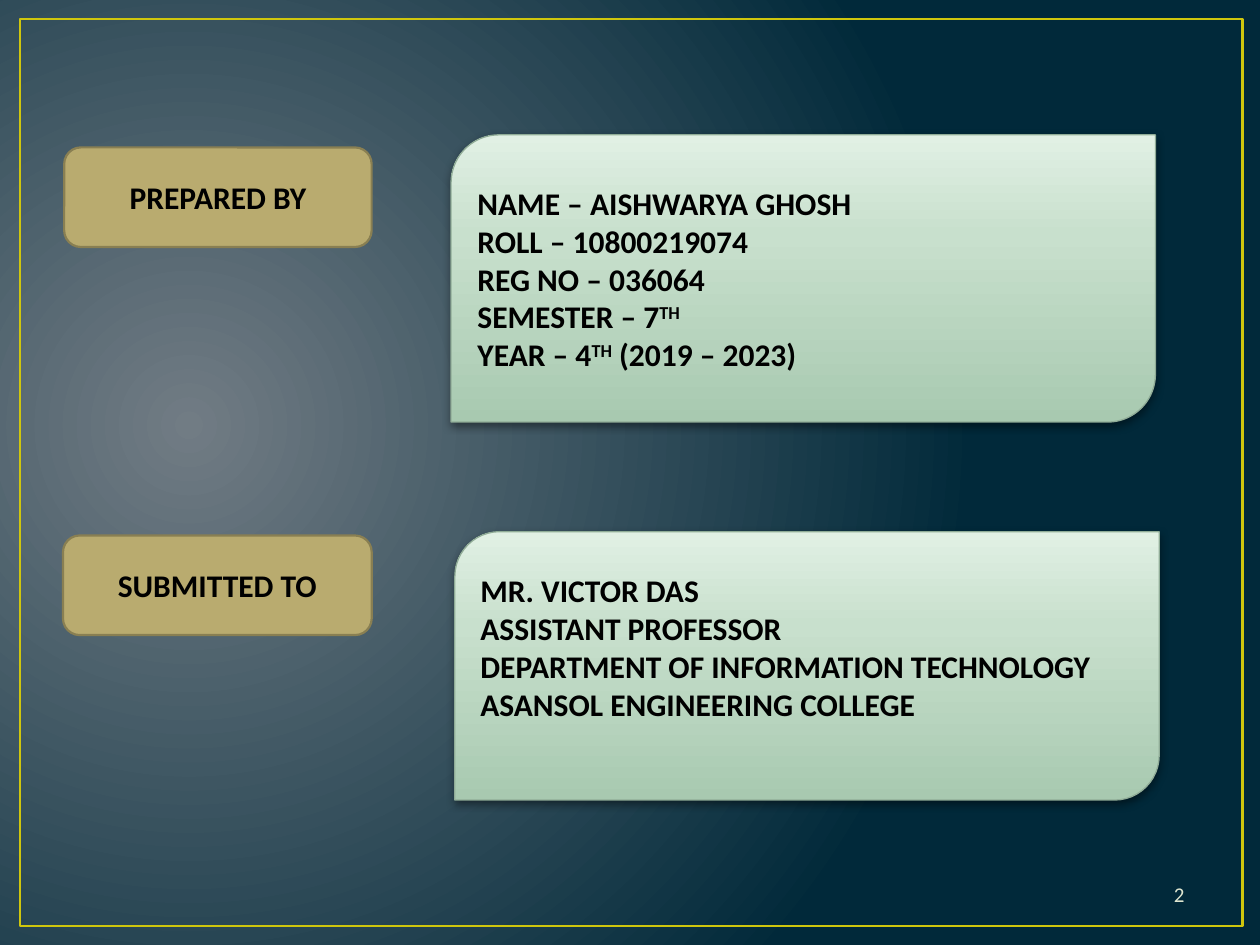
import lxml.etree
import pptx
import pptx.dml.color
import pptx.enum.shapes
import pptx.enum.text
import pptx.oxml.ns
import pptx.util

Inches = pptx.util.Inches
Pt = pptx.util.Pt
qn = pptx.oxml.ns.qn
SHAPES = pptx.enum.shapes.MSO_SHAPE
ALIGN = pptx.enum.text.PP_ALIGN


def color(value):
    """Turn a hex string into a colour."""
    return pptx.dml.color.RGBColor.from_string(value)


def add_node(parent, tag, **attributes):
    """Append a drawing element with the given attributes."""
    node = lxml.etree.SubElement(parent, qn(tag))
    for name, value in attributes.items():
        node.set(name, str(value))
    return node


def set_gradient(fill, element, stops):
    """Give a fill the listed stops and return its emptied gradient element."""
    fill.gradient()
    gradient = next(element.iter(qn("a:gradFill")))
    for child in list(gradient):
        gradient.remove(child)
    stop_list = add_node(gradient, "a:gsLst")
    for position, value in stops:
        stop = add_node(stop_list, "a:gs", pos=position * 1000)
        add_node(stop, "a:srgbClr", val=value)
    return gradient


def add_background(slide):
    """Paint the radial background."""
    stops = [(0, "717C84"), (100, "01293A")]
    gradient = set_gradient(slide.background.fill, slide.element, stops)
    circle = add_node(gradient, "a:path", path="circle")
    add_node(circle, "a:fillToRect", l=15000, t=50000, r=85000, b=60000)


def add_outlined(slide, kind, box, line, width):
    """Add a preset shape with an outline and no shadow."""
    shape = slide.shapes.add_shape(kind, *map(Inches, box))
    shape.shadow.inherit = False
    shape.line.color.rgb = color(line)
    shape.line.width = Pt(width)
    return shape


def write(shape, lines, align, size=18, value="000000", bold=True):
    """Write lines of text, raising every part that follows a caret."""
    frame = shape.text_frame
    frame.word_wrap = True
    frame.vertical_anchor = pptx.enum.text.MSO_ANCHOR.MIDDLE
    frame.text = "\n".join(line.replace("^", "") for line in lines)
    for paragraph, line in zip(frame.paragraphs, lines):
        paragraph.alignment = align
        if "^" in line:
            before, raised, after = line.split("^")
            paragraph.runs[0].text = before
            for part in filter(None, (raised, after)):
                paragraph.add_run().text = part
            paragraph.runs[1].font._element.set("baseline", "30000")
        for run in paragraph.runs:
            run.font.name = "Calibri"
            run.font.size = Pt(size)
            run.font.bold = bold
            run.font.color.rgb = color(value)


def add_label(slide, box, text):
    """Add a rounded label."""
    label = add_outlined(slide, SHAPES.ROUNDED_RECTANGLE, box, "897F52", 1.25)
    label.fill.solid()
    label.fill.fore_color.rgb = color("B9AB6F")
    write(label, [text], ALIGN.CENTER)


def add_card(slide, box, lines, bottom_margin):
    """Add a green details card with a soft shadow."""
    card = add_outlined(slide, SHAPES.ROUND_2_DIAG_RECTANGLE, box, "90AC97", 0.75)
    stops = [(0, "A8C9B0"), (65, "C8E0CD"), (100, "E1F0E4")]
    gradient = set_gradient(card.fill, card.element, stops)
    add_node(gradient, "a:lin", ang=270 * 60000, scaled=0)
    effects = card.element.spPr.find(qn("a:effectLst"))
    shadow = add_node(effects, "a:outerShdw", blurRad=Pt(5), dist=Pt(2),
                      dir=90 * 60000, rotWithShape=0)
    add_node(add_node(shadow, "a:srgbClr", val="000000"), "a:alpha", val=43000)
    write(card, lines, ALIGN.LEFT)
    card.text_frame.margin_bottom = Inches(bottom_margin)


def add_frame(slide, box):
    """Add the yellow border."""
    add_outlined(slide, SHAPES.RECTANGLE, box, "CFC60D", 1.5).fill.background()


def add_page_number(slide, box, number):
    """Add the page number."""
    text_box = slide.shapes.add_textbox(*map(Inches, box))
    write(text_box, [number], ALIGN.RIGHT, 12, "DFE6D0", False)


def main():
    """Build and save the slide."""
    presentation = pptx.Presentation()
    presentation.slide_width = Inches(10)
    presentation.slide_height = Inches(7.5)
    slide = presentation.slides.add_slide(presentation.slide_layouts[6])
    add_background(slide)
    add_frame(slide, (0.16, 0.15, 9.7, 7.2))
    add_card(slide, (3.58, 1.07, 5.59, 2.28), [
        "NAME – AISHWARYA GHOSH",
        "ROLL – 10800219074",
        "REG NO – 036064",
        "SEMESTER – 7^TH^",
        "YEAR – 4^TH^ (2019 – 2023)",
    ], 0.05)
    add_card(slide, (3.61, 4.22, 5.59, 2.13), [
        "MR. VICTOR DAS",
        "ASSISTANT PROFESSOR",
        "DEPARTMENT OF INFORMATION TECHNOLOGY",
        "ASANSOL ENGINEERING COLLEGE",
    ], 0.35)
    add_label(slide, (0.51, 1.17, 2.44, 0.79), "PREPARED BY")
    add_label(slide, (0.5, 4.25, 2.45, 0.79), "SUBMITTED TO")
    add_page_number(slide, (7.17, 6.9, 2.33, 0.4), "2")
    presentation.save("out.pptx")


main()
